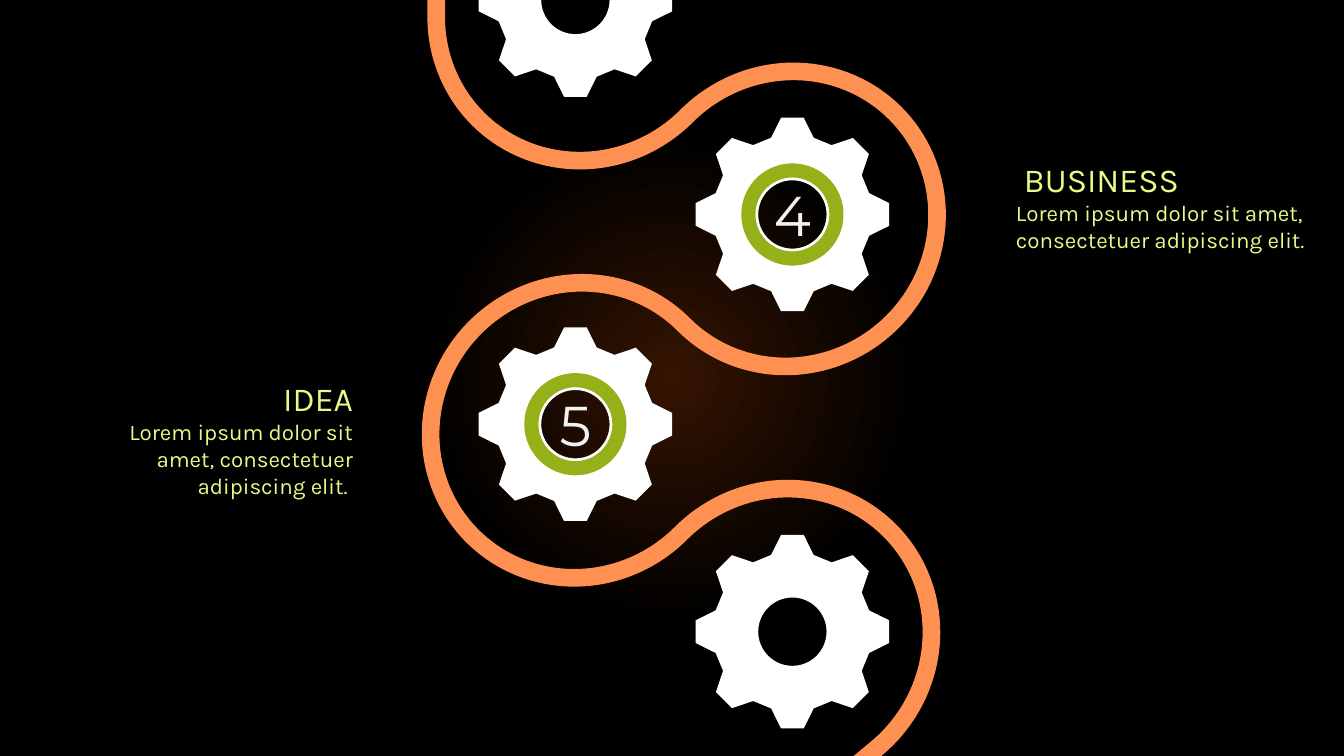
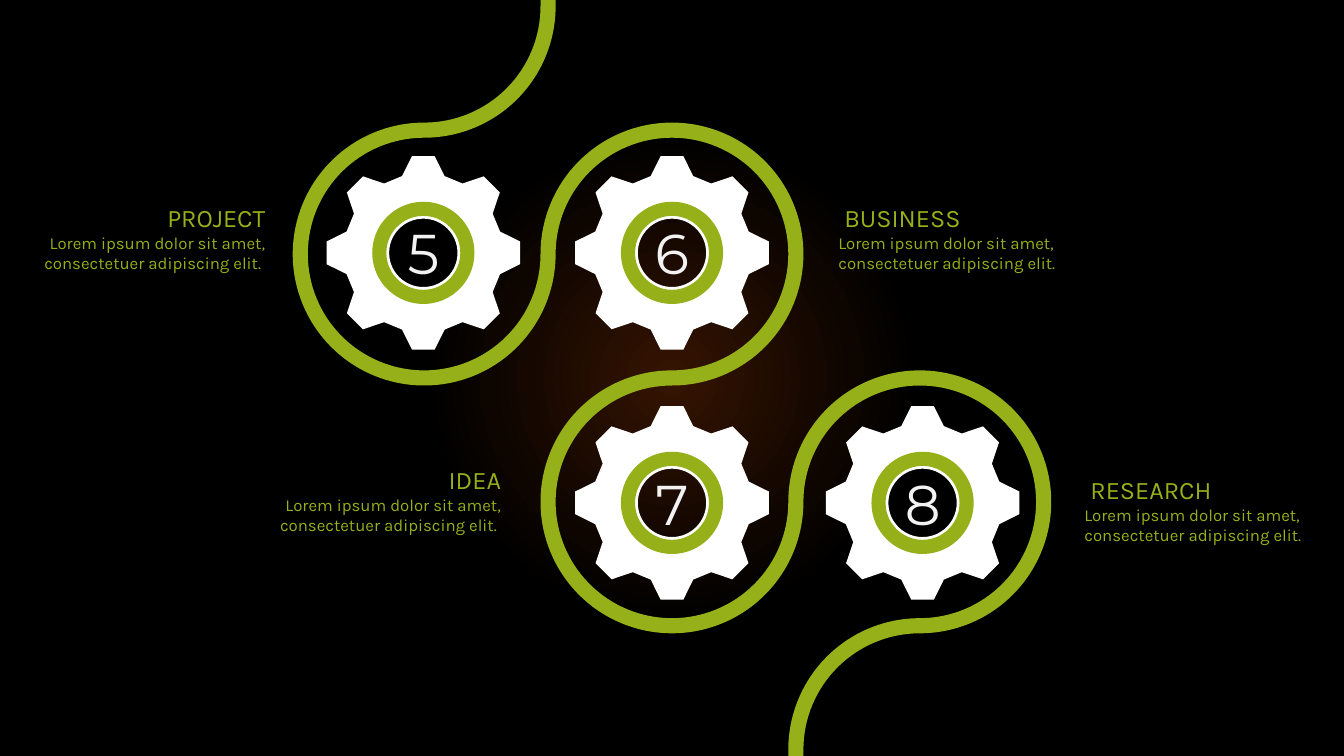
from dataclasses import dataclass
from math import ceil, cos, radians, sin, sqrt, tan

from pptx import Presentation
from pptx.dml.color import RGBColor
from pptx.enum.shapes import MSO_SHAPE
from pptx.enum.text import MSO_AUTO_SIZE, PP_ALIGN
from pptx.oxml.ns import qn
from pptx.oxml.xmlchemy import OxmlElement
from pptx.util import Pt

WIDTH, HEIGHT = 960, 540
BODY = "Lorem ipsum dolor sit amet, consectetuer adipiscing elit."


@dataclass(frozen=True)
class Theme:
    """Colours, fonts and type sizes of the deck."""
    glow: str = "351401"
    back: str = "000000"
    orange: str = "FE9051"
    green: str = "96B01A"
    lime: str = "E4FC86"
    white: str = "FFFFFF"
    digit: str = "F2F2F2"
    text_font: str = "Karla"
    digit_font: str = "Montserrat"
    digit_size: int = 40
    large: tuple = (24, 16)
    small: tuple = (18, 12)


def add_text(p, text, *, font, size, color, align=PP_ALIGN.LEFT):
    """Write one formatted run into a paragraph."""
    p.alignment = align
    r = p.add_run()
    r.text = text
    r.font.name = font
    r.font.size = Pt(size)
    r.font.color.rgb = RGBColor.from_string(color)


def polar(x, y, radius, angle):
    """Return the point at an angle in degrees around a centre."""
    return x + radius * cos(radians(angle)), y + radius * sin(radians(angle))


def arc_points(x, y, radii, start, end, piece=45):
    """Return Bezier points of an arc whose ellipse axes lie on the diagonals."""
    a, b = (radius / sqrt(2) for radius in radii)
    count = ceil(abs(end - start) / piece)
    step = radians(end - start) / count
    pull = 4 / 3 * tan(step / 4)

    def at(angle, lead):
        """Return a point moved along its tangent."""
        c = a * (cos(angle) - lead * sin(angle))
        s = b * (sin(angle) + lead * cos(angle))
        return x + c - s, y + c + s

    angle = radians(start - 45)
    points = [at(angle, 0)]
    for _ in range(count):
        points += [at(angle, pull), at(angle + step, -pull), at(angle + step, 0)]
        angle += step
    return points


def curves(points):
    """Group the points after the first into curve steps."""
    return [points[i:i + 3] for i in range(1, len(points), 3)]


def lines(points):
    """Turn points into line steps."""
    return [[point] for point in points]


class Deck:
    """Holds the theme, the presentation and the current slide."""

    def __init__(self, theme):
        """Start an empty widescreen presentation."""
        self.theme = theme
        self.prs = Presentation()
        self.prs.slide_width, self.prs.slide_height = Pt(WIDTH), Pt(HEIGHT)
        self.s = None

    def slide(self):
        """Add a blank slide with the round glow behind it."""
        self.s = self.prs.slides.add_slide(self.prs.slide_layouts[6])
        fill = self.s.background.fill
        fill.gradient()
        stops = ((0, self.theme.glow), (0.32, self.theme.back))
        for stop, (position, color) in zip(fill.gradient_stops, stops):
            stop.position = position
            stop.color.rgb = RGBColor.from_string(color)
        lin = next(self.s.element.iter(qn("a:lin")))
        circle = OxmlElement("a:path")
        circle.set("path", "circle")
        rect = OxmlElement("a:fillToRect")
        for side in "ltrb":
            rect.set(side, "50000")
        circle.append(rect)
        lin.getparent().replace(lin, circle)

    def paint(self, sp, color):
        """Give a shape a flat fill without line or shadow."""
        sp.shadow.inherit = False
        sp.fill.solid()
        sp.fill.fore_color.rgb = RGBColor.from_string(color)
        sp.line.fill.background()

    def outline(self, contours, color):
        """Draw closed contours of lines and curves as one filled shape."""
        fb = None
        for start, steps in contours:
            first, *rest = [(Pt(x), Pt(y)) for x, y in [start] + sum(steps, [])]
            if fb is None:
                fb = self.s.shapes.build_freeform(*first, scale=1.0)
            else:
                fb.move_to(*first)
            fb.add_line_segments(rest, close=True)
        sp = fb.convert_to_shape()
        segments = iter(list(sp.element.iter(qn("a:lnTo"))))
        for step in sum((steps for _, steps in contours), []):
            group = [next(segments) for _ in step]
            if len(group) == 3:
                curve = OxmlElement("a:cubicBezTo")
                group[0].addprevious(curve)
                for segment in group:
                    curve.append(segment[0])
                    segment.getparent().remove(segment)
        self.paint(sp, color)

    def ribbon(self, arcs, radii, half, color, lean=0):
        """Draw a band along joined arcs from the slide's top to its bottom."""
        left, right = [], []
        for x, y, start, end in arcs:
            turn = half if end > start else -half
            for edge, shift in ((left, turn), (right, -turn)):
                points = arc_points(x, y, [r + shift for r in radii], start, end)
                edge += points[1:] if edge else points
        heads = [(edge[0][0], 0) for edge in (left, right)]
        tails = [(x - (HEIGHT - y) * lean, HEIGHT)
                 for x, y in (left[-1], right[-1])]
        steps = lines([left[0]]) + curves(left)
        steps += lines(tails + [right[-1]]) + curves(right[::-1])
        self.outline([(heads[0], steps + lines([heads[1]]))], color)

    def gear(self, x, y, number=None):
        """Draw an eight-toothed gear, with ring and number if it has one."""
        root, tip = 56.9, 69.6
        tooth = ((-15.5, root), (-6.7, tip), (6.7, tip), (15.5, root))
        rim = [polar(x, y, radius, middle + offset)
               for middle in range(0, 360, 45) for offset, radius in tooth]
        hole = arc_points(x, y, (24.4, 24.4), 360, 0, piece=90)
        self.outline([(rim[0], lines(rim[1:])), (hole[0], curves(hole))],
                     self.theme.white)
        if number is not None:
            self.ring(x, y, 73)
            self.digit(x, y, number)

    def ring(self, x, y, size):
        """Draw the green ring around a number."""
        sp = self.s.shapes.add_shape(MSO_SHAPE.DONUT, Pt(x - size / 2),
                                     Pt(y - size / 2), Pt(size), Pt(size))
        sp.adjustments[0] = 0.138
        self.paint(sp, self.theme.green)

    def box(self, x, y, w, h):
        """Add a wrapping text box and return its text frame."""
        tf = self.s.shapes.add_textbox(Pt(x), Pt(y), Pt(w), Pt(h)).text_frame
        tf.word_wrap = True
        tf.auto_size = MSO_AUTO_SIZE.SHAPE_TO_FIT_TEXT
        return tf

    def digit(self, x, y, number):
        """Centre a number on a gear."""
        t, w, h = self.theme, 63, 55.4
        tf = self.box(x - w / 2, y - h / 2, w, h)
        add_text(tf.paragraphs[0], str(number), font=t.digit_font,
                 size=t.digit_size, color=t.digit, align=PP_ALIGN.CENTER)

    def label(self, title, x, y, w, *, sizes, color, right=False):
        """Add a heading with its description."""
        tf = self.box(x, y, w, sum(sizes) * 2.45)
        align = PP_ALIGN.RIGHT if right else PP_ALIGN.LEFT
        texts = (title, BODY + " ") if right else (" " + title, BODY)
        for p, text, size in zip((tf.paragraphs[0], tf.add_paragraph()), texts, sizes):
            add_text(p, text, font=self.theme.text_font, size=size,
                     color=color, align=align)


def diagonal_slide(deck):
    """Build the slide with the zigzag orange band."""
    t = deck.theme
    deck.slide()
    down, back = 147, 151
    x, y = 417, 9.4
    arcs = [(x, y, 180, 45),
            (x + down, y + down, 225, 495),
            (x + down - back, y + down + back, 315, 45),
            (x + 2 * down - back, y + 2 * down + back, 225, 410)]
    deck.ribbon(arcs, (down / sqrt(2), back / sqrt(2)), 6.3, t.orange, lean=1.2)
    left, right = 411, 566
    for gx, gy, number in ((left, 0, None), (right, 153.2, 4),
                           (left, 303, 5), (right, 451.2, None)):
        deck.gear(gx, gy, number)
    style = dict(sizes=t.large, color=t.lime)
    deck.label("IDEA", 47.5, 266.4, 211.7, right=True, **style)
    deck.label("BUSINESS", 718.6, 110.2, 241.2, **style)


def stepped_slide(deck):
    """Build the slide with the stepped green band."""
    t = deck.theme
    deck.slide()
    pitch = 177
    x, y = 303, 181.5
    arcs = [(x, y - pitch, 0, 90)]
    for step in range(2):
        cx, cy = x + step * pitch, y + step * pitch
        arcs += [(cx, cy, 270, 0), (cx + pitch, cy, 180, 450)]
    arcs.append((x + 2 * pitch, y + 2 * pitch, 270, 180))
    deck.ribbon(arcs, (pitch / 2, pitch / 2), 5.4, t.green)
    for i, (gx, gy) in enumerate(((302.4, 180.6), (480, 180.6),
                                  (480, 359.2), (659, 359.2))):
        deck.gear(gx, gy, 5 + i)
    style = dict(sizes=t.small, color=t.green)
    deck.label("PROJECT", 21.6, 141, 175, right=True, **style)
    deck.label("IDEA", 192.2, 328.3, 172.8, right=True, **style)
    deck.label("BUSINESS", 591.8, 141, 197.3, **style)
    deck.label("RESEARCH", 767.5, 335.5, 192.5, **style)


def main():
    """Build and save the deck."""
    deck = Deck(Theme())
    diagonal_slide(deck)
    stepped_slide(deck)
    deck.prs.save("out.pptx")


if __name__ == "__main__":
    main()
